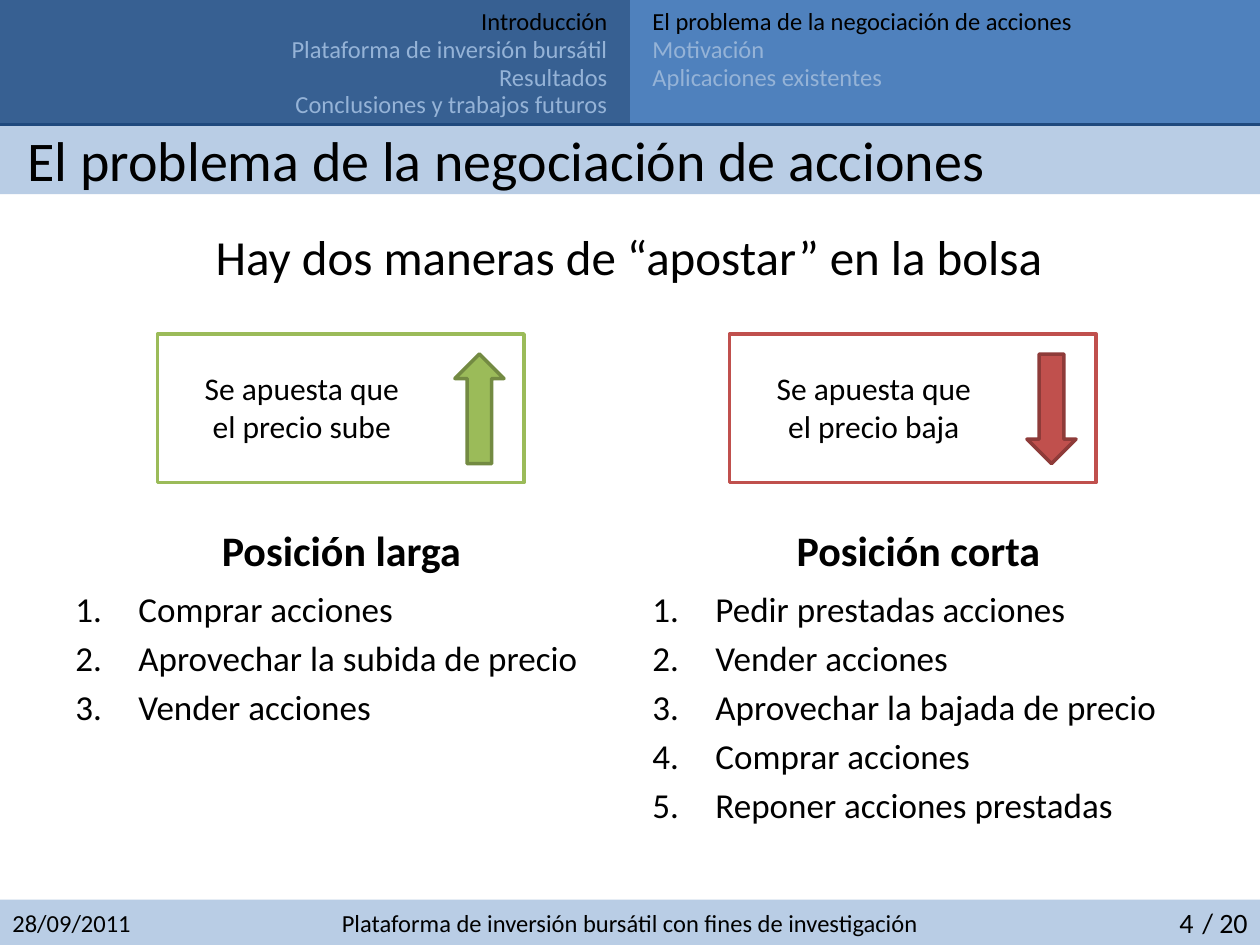
from lxml.etree import SubElement
from pptx import Presentation
from pptx.dml.color import RGBColor
from pptx.enum.shapes import MSO_CONNECTOR, MSO_SHAPE
from pptx.enum.text import MSO_ANCHOR as ANCHOR, PP_ALIGN as ALIGN
from pptx.oxml.ns import qn
from pptx.util import Inches, Pt

BLACK = RGBColor(0x00, 0x00, 0x00)
WHITE = RGBColor(0xFF, 0xFF, 0xFF)
NAVY = RGBColor(0x1F, 0x49, 0x7D)
DARK_BLUE = RGBColor(0x37, 0x60, 0x92)
BLUE = RGBColor(0x4F, 0x81, 0xBD)
MUTED_BLUE = RGBColor(0x95, 0xB3, 0xD7)
PALE_BLUE = RGBColor(0xB9, 0xCD, 0xE5)
GREEN = RGBColor(0x9B, 0xBB, 0x59)
DARK_GREEN = RGBColor(0x73, 0x8A, 0x42)
RED = RGBColor(0xC0, 0x50, 0x4D)
DARK_RED = RGBColor(0x8E, 0x3B, 0x39)

W, H = 10, 7.5
HALF = W / 2
NAV_H, TITLE_H, FOOT_H = 0.99, 0.55, 0.36
FOOT_Y = H - FOOT_H
COL_W, GUTTER = 4.42, 0.08
LEFT_X, RIGHT_X = HALF - GUTTER - COL_W, HALF + GUTTER

prs = Presentation()
prs.slide_width, prs.slide_height = Inches(W), Inches(H)
s = prs.slides.add_slide(prs.slide_layouts[6])


def add_box(shapes, kind, x, y, w, h, fill, line=None):
    sp = shapes.add_shape(kind, Inches(x), Inches(y), Inches(w), Inches(h))
    sp.shadow.inherit = False
    sp.fill.solid()
    sp.fill.fore_color.rgb = fill
    if line is None:
        sp.line.fill.background()
    else:
        sp.line.color.rgb = line
        sp.line.width = Pt(2)
    return sp


def add_text(shapes, x, y, w, h, lines, size, align=ALIGN.LEFT, anchor=ANCHOR.TOP,
             color=BLACK, bold=False, spaced=False, numbered=False):
    """Add one paragraph per line; spaced puts a fifth of the size before each."""
    tf = shapes.add_textbox(Inches(x), Inches(y), Inches(w), Inches(h)).text_frame
    tf.word_wrap = True
    tf.vertical_anchor = anchor
    for i, line in enumerate(lines):
        p = tf.add_paragraph() if i else tf.paragraphs[0]
        p.alignment = align
        if spaced:
            p.space_before = Pt(size * 0.2)
        if numbered:
            pPr = p._p.get_or_add_pPr()
            pPr.set("marL", str(Inches(0.5)))
            pPr.set("indent", str(-Inches(0.5)))
            SubElement(pPr, qn("a:buFont"), typeface="+mj-lt")
            SubElement(pPr, qn("a:buAutoNum"), type="arabicPeriod")
        r = p.add_run()
        r.text = line
        r.font.name, r.font.size, r.font.bold = "Calibri", Pt(size), bold
        r.font.color.rgb = color


# Bands
for x, y, w, h, fill in [
    (0, 0, W, NAV_H, BLUE),
    (0, 0, HALF, NAV_H, DARK_BLUE),
    (0, FOOT_Y, W, FOOT_H, PALE_BLUE),
    (0, NAV_H, W, TITLE_H, PALE_BLUE),
]:
    add_box(s.shapes, MSO_SHAPE.RECTANGLE, x, y, w, h, fill)

rule = s.shapes.add_connector(MSO_CONNECTOR.STRAIGHT, 0, Inches(NAV_H), Inches(W), Inches(NAV_H))
rule.line.color.rgb = NAVY
rule.line.width = Pt(1.5)
SubElement(rule._element.spPr, qn("a:effectLst"))

# Navigation: the first entry of each column is the current one
SECTIONS = ["Introducción", "Plataforma de inversión bursátil", "Resultados",
            "Conclusiones y trabajos futuros"]
TOPICS = ["El problema de la negociación de acciones", "Motivación", "Aplicaciones existentes"]
for x, align, entries in [(0, ALIGN.RIGHT, SECTIONS), (RIGHT_X, ALIGN.LEFT, TOPICS)]:
    for row, entry in enumerate(entries):
        add_text(s.shapes, x, row * 0.22, HALF - GUTTER, 0.34, [entry], 14, align,
                 color=MUTED_BLUE if row else BLACK)

# Title and lead
add_text(s.shapes, 0.12, NAV_H, W - 0.24, TITLE_H,
         ["El problema de la negociación de acciones"], 32, anchor=ANCHOR.MIDDLE)
add_text(s.shapes, 0.49, 1.75, 9, 0.66, ["Hay dos maneras de “apostar” en la bolsa"], 28,
         ALIGN.CENTER, spaced=True)

# The two bets
for x, claim, fill, line, turn in [
    (1.25, "Se apuesta que el precio sube", GREEN, DARK_GREEN, 0),
    (5.79, "Se apuesta que el precio baja", RED, DARK_RED, 180),
]:
    bet = s.shapes.add_group_shape().shapes
    add_box(bet, MSO_SHAPE.RECTANGLE, x, 2.65, 2.91, 1.18, WHITE, fill)
    add_box(bet, MSO_SHAPE.UP_ARROW, x + 2.36, 2.81, 0.39, 0.87, fill, line).rotation = turn
    add_text(bet, x + 0.24, 2.88, 1.81, 0.71, [claim], 18, ALIGN.CENTER)

# The two positions
for x, name, steps in [
    (LEFT_X, "Posición larga",
     ["Comprar acciones", "Aprovechar la subida de precio", "Vender acciones"]),
    (RIGHT_X, "Posición corta",
     ["Pedir prestadas acciones", "Vender acciones", "Aprovechar la bajada de precio",
      "Comprar acciones", "Reponer acciones prestadas"]),
]:
    add_text(s.shapes, x, 3.91, COL_W, 0.7, [name], 24, ALIGN.CENTER, ANCHOR.BOTTOM,
             bold=True, spaced=True)
    add_text(s.shapes, x, 4.61, COL_W, 2.16, steps, 20, spaced=True, numbered=True)

# Footer
for x, w, text, size, align in [
    (0, 2.33, "28/09/2011", 14, ALIGN.LEFT),
    (2.4, 5.2, "Plataforma de inversión bursátil con fines de investigación", 14, ALIGN.CENTER),
    (7.67, 1.9, "4", 16, ALIGN.RIGHT),
    (9.41, 0.59, "/ 20", 16, ALIGN.RIGHT),
]:
    add_text(s.shapes, x, FOOT_Y, w, FOOT_H, [text], size, align, ANCHOR.MIDDLE)

prs.save("out.pptx")
